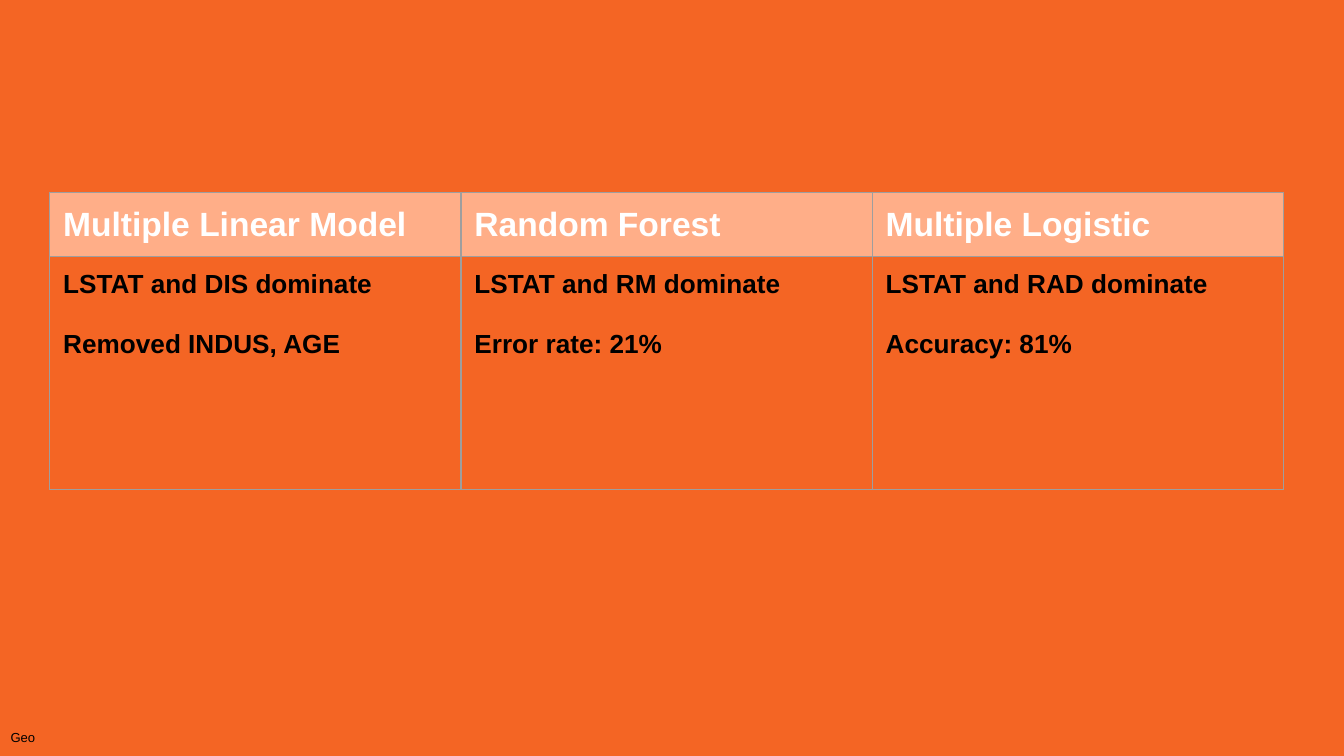
"""Build a slide that compares the findings of three models in a table."""
from dataclasses import dataclass

from lxml import etree
from pptx import Presentation
from pptx.dml.color import RGBColor
from pptx.enum.text import MSO_ANCHOR
from pptx.oxml.ns import qn
from pptx.table import _Cell
from pptx.text.text import TextFrame
from pptx.util import Inches, Pt

TOP = MSO_ANCHOR.TOP
FONT = "Arial"
ORANGE, PEACH, GRAY = "F46524", "FFAE88", "9E9E9E"
WHITE, BLACK = "FFFFFF", "000000"
INSET = Inches(0.1)
BLANK_LAYOUT = 6


@dataclass
class Model:
    name: str
    findings: list[str]


MODELS = [
    Model("Multiple Linear Model", ["LSTAT and DIS dominate", "Removed INDUS, AGE"]),
    Model("Random Forest", ["LSTAT and RM dominate", "Error rate: 21%"]),
    Model("Multiple Logistic", ["LSTAT and RAD dominate", "Accuracy: 81%"]),
]


def color(value: str) -> RGBColor:
    return RGBColor.from_string(value)


def write_text(frame: TextFrame, lines: list[str], *, size: float, fill: str,
               bold: bool = False, gap: float = 0) -> None:
    frame.word_wrap = True
    for index, line in enumerate(lines):
        paragraph = frame.add_paragraph() if index else frame.paragraphs[0]
        if index:
            paragraph.space_before = Pt(gap)
        run = paragraph.add_run()
        run.text = line
        run.font.name = FONT
        run.font.size = Pt(size)
        run.font.bold = bold
        run.font.color.rgb = color(fill)


def set_insets(container: _Cell | TextFrame) -> None:
    container.margin_left = container.margin_right = INSET
    container.margin_top = container.margin_bottom = INSET
    container.vertical_anchor = TOP


def add_borders(cell: _Cell, line_color: str, width: float) -> None:
    properties = cell._tc.get_or_add_tcPr()
    for index, side in enumerate(("lnL", "lnR", "lnT", "lnB")):
        line = etree.Element(qn(f"a:{side}"), w=str(Pt(width)))
        fill = etree.SubElement(line, qn("a:solidFill"))
        etree.SubElement(fill, qn("a:srgbClr"), val=line_color)
        properties.insert(index, line)


def format_cell(cell: _Cell, fill: str | None = None) -> None:
    set_insets(cell)
    if fill:
        cell.fill.solid()
        cell.fill.fore_color.rgb = color(fill)
    else:
        cell.fill.background()
    add_borders(cell, GRAY, 0.75)


def main() -> None:
    presentation = Presentation()
    presentation.slide_width = Inches(10)
    presentation.slide_height = presentation.slide_width * 9 // 16
    slide = presentation.slides.add_slide(presentation.slide_layouts[BLANK_LAYOUT])
    slide.background.fill.solid()
    slide.background.fill.fore_color.rgb = color(ORANGE)

    table = slide.shapes.add_table(
        2, len(MODELS), Inches(0.37), Inches(1.43), Inches(9.18), Inches(2.21)
    ).table
    table.horz_banding = False
    table.rows[0].height = Inches(0.48)
    table.rows[1].height = Inches(1.73)
    for column, model in enumerate(MODELS):
        table.columns[column].width = Inches(3.06)
        header, body = table.cell(0, column), table.cell(1, column)
        format_cell(header, PEACH)
        format_cell(body)
        write_text(header.text_frame, [model.name], size=18, fill=WHITE, bold=True)
        write_text(body.text_frame, model.findings, size=14, fill=BLACK, bold=True, gap=16)

    label = slide.shapes.add_textbox(
        Inches(-0.02), Inches(5.35), Inches(0.55), Inches(0.19)
    ).text_frame
    set_insets(label)
    label.margin_top = Inches(0.14)
    write_text(label, ["Geo"], size=7, fill=BLACK)

    presentation.save("out.pptx")


if __name__ == "__main__":
    main()
